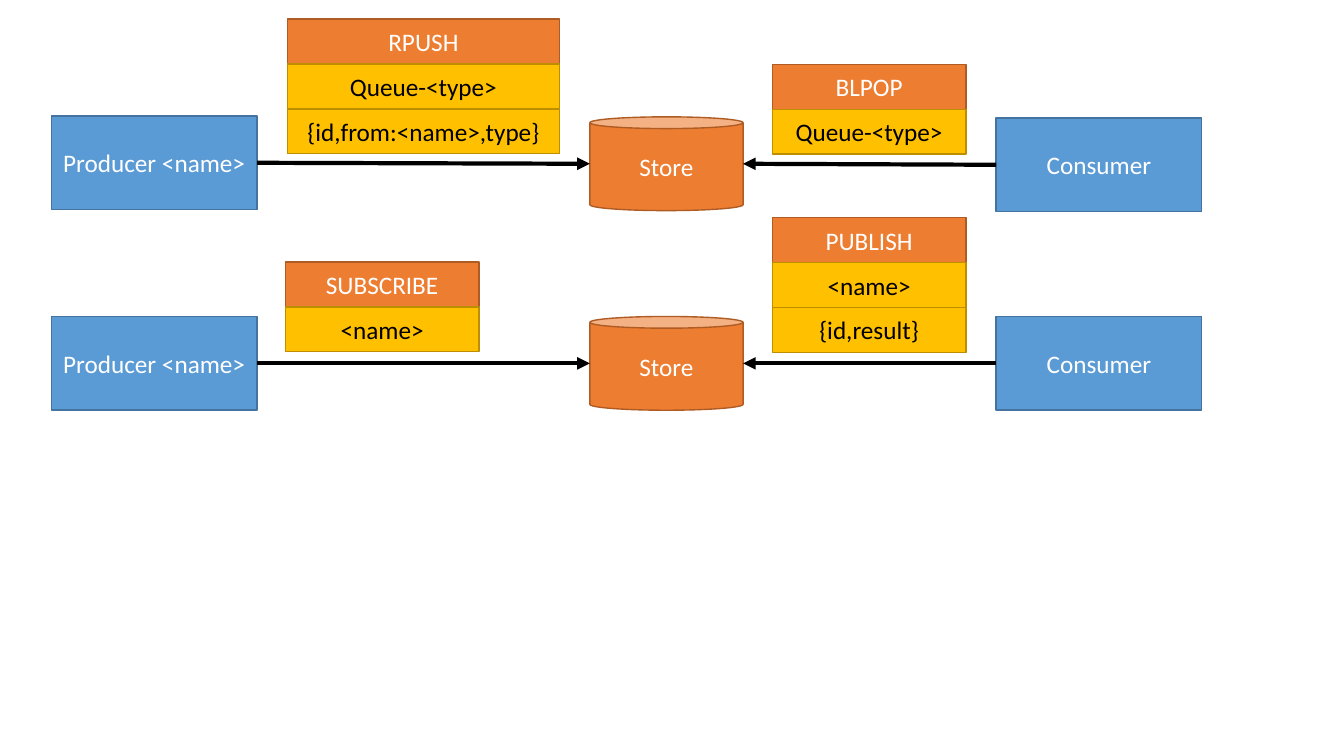
from dataclasses import dataclass

from lxml import etree
from pptx import Presentation
from pptx import util as u
from pptx.dml.color import RGBColor
from pptx.enum import shapes, text
from pptx.oxml import ns
from pptx.util import Inches

RECTANGLE = shapes.MSO_SHAPE.RECTANGLE
CAN = shapes.MSO_SHAPE.CAN
CELL_STEP = Inches(0.89) // 2
NODE_HEIGHT = Inches(0.93)


@dataclass(frozen=True)
class Style:
    """Colours of a shape."""
    fill: str
    line: str
    font: str


BLUE = Style("5B9BD5", "43739E", "FFFFFF")
ORANGE = Style("ED7D31", "AF5C24", "FFFFFF")
YELLOW = Style("FFC000", "BD8E00", "000000")


@dataclass(frozen=True)
class Message:
    """A command with its arguments, stacked in cells."""
    left: float
    top: float
    width: float
    cells: tuple[str, ...]


@dataclass(frozen=True)
class Exchange:
    """A row of producer, store and consumer, with their tops."""
    producer_top: float
    store_top: float
    consumer_top: float
    messages: tuple[Message, ...]


EXCHANGES = (
    Exchange(1.15, 1.16, 1.17, (
        Message(2.85, 0.19, 2.7, ("RPUSH", "Queue-<type>", "{id,from:<name>,type}")),
        Message(7.66, 0.64, 1.92, ("BLPOP", "Queue-<type>")),
    )),
    Exchange(3.14, 3.14, 3.14, (
        Message(2.83, 2.6, 1.92, ("SUBSCRIBE", "<name>")),
        Message(7.66, 2.16, 1.92, ("PUBLISH", "<name>", "{id,result}")),
    )),
)


def color(value: str) -> RGBColor:
    """Turn a hex string into a colour."""
    return RGBColor.from_string(value)


def add_box(page, kind, left: int, top: int, width: int, height: int,
            label: str, style: Style):
    """Draw a filled shape with a centred label."""
    box = page.shapes.add_shape(kind, left, top, width, height)
    box.shadow.inherit = False
    box.fill.solid()
    box.fill.fore_color.rgb = color(style.fill)
    box.line.color.rgb = color(style.line)
    box.line.width = u.Pt(1)
    frame = box.text_frame
    frame.word_wrap = True
    frame.vertical_anchor = text.MSO_ANCHOR.MIDDLE
    para = frame.paragraphs[0]
    para.text = label
    para.alignment = text.PP_ALIGN.CENTER
    para.font.name = "Calibri"
    para.font.size = u.Pt(18)
    para.font.color.rgb = color(style.font)
    return box


def add_arrow(page, start_x: int, start_box, end_x: int, end_box) -> None:
    """Draw an arrow between the middle heights of two boxes."""
    arrow = page.shapes.add_connector(
        shapes.MSO_CONNECTOR.STRAIGHT,
        start_x, start_box.top + start_box.height // 2,
        end_x, end_box.top + end_box.height // 2)
    arrow.line.color.rgb = color("000000")
    arrow.line.width = u.Pt(3)
    etree.SubElement(arrow.line._get_or_add_ln(), ns.qn("a:tailEnd"), type="triangle")
    etree.SubElement(arrow._element.spPr, ns.qn("a:effectLst"))


def add_message(page, message: Message) -> None:
    """Stack a command cell over its argument cells."""
    for index, label in enumerate(message.cells):
        add_box(page, RECTANGLE, Inches(message.left),
                Inches(message.top) + index * CELL_STEP,
                Inches(message.width), CELL_STEP, label,
                YELLOW if index else ORANGE)


def add_exchange(page, exchange: Exchange) -> None:
    """Draw one row: its nodes, arrows and messages."""
    producer = add_box(page, RECTANGLE, Inches(0.51), Inches(exchange.producer_top),
                       Inches(2.04), NODE_HEIGHT, "Producer <name>", BLUE)
    store = add_box(page, CAN, Inches(5.85), Inches(exchange.store_top),
                    Inches(1.52), NODE_HEIGHT, "Store", ORANGE)
    store.adjustments[0] = 0.125
    consumer = add_box(page, RECTANGLE, Inches(9.88), Inches(exchange.consumer_top),
                       Inches(2.04), NODE_HEIGHT, "Consumer", BLUE)
    add_arrow(page, producer.left + producer.width, producer, store.left, store)
    add_arrow(page, consumer.left, consumer, store.left + store.width, store)
    for message in exchange.messages:
        add_message(page, message)


def main() -> None:
    """Build the deck and save it."""
    deck = Presentation()
    deck.slide_width = Inches(13.33)
    deck.slide_height = Inches(7.5)
    page = deck.slides.add_slide(deck.slide_layouts[6])
    for exchange in EXCHANGES:
        add_exchange(page, exchange)
    deck.save("out.pptx")


main()
